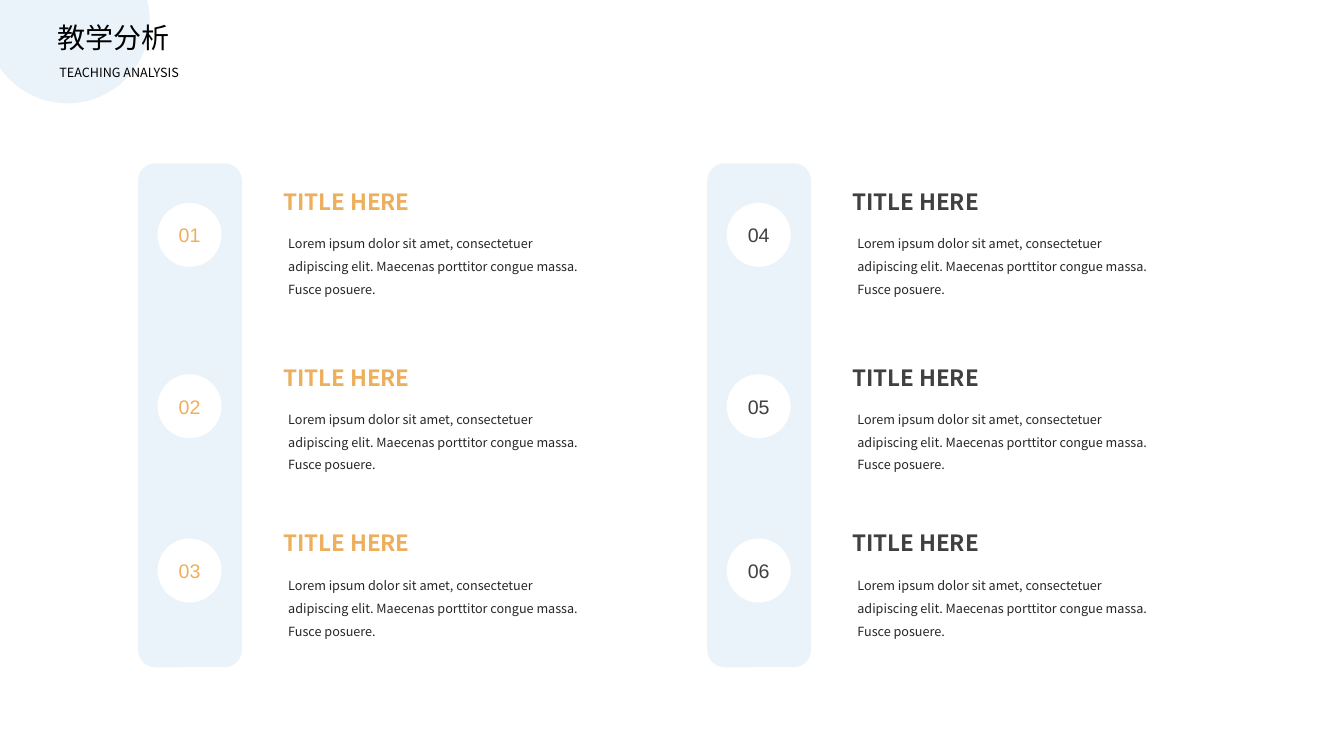
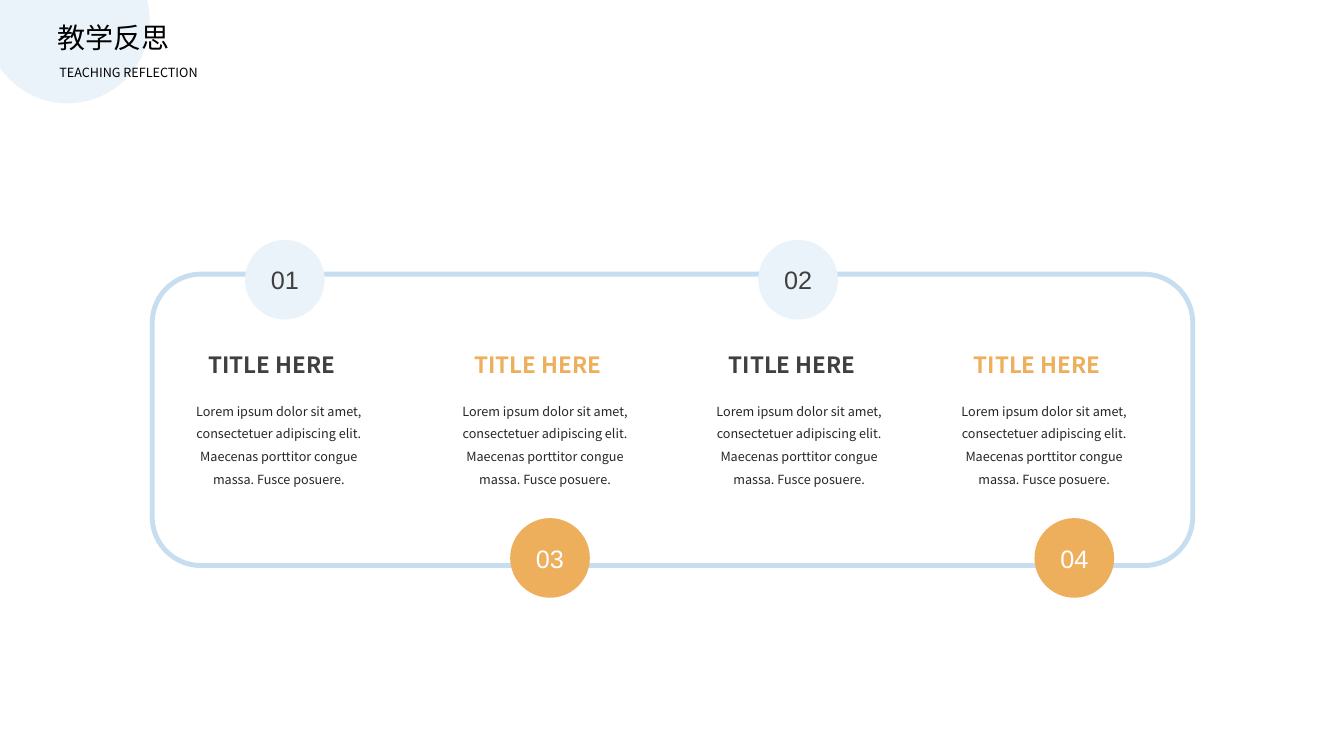
from dataclasses import dataclass
from math import acos, asin, cos, pi, sin

from lxml.etree import Element
from pptx import Presentation
from pptx.dml.color import RGBColor
from pptx.enum.shapes import MSO_SHAPE
from pptx.enum.text import MSO_ANCHOR, MSO_AUTO_SIZE, PP_ALIGN
from pptx.oxml.ns import qn
from pptx.presentation import Presentation as Deck
from pptx.shapes.autoshape import Shape
from pptx.slide import Slide
from pptx.util import Inches, Pt

COLUMNS, ROWS = 133.3, 75
CELL = Inches(0.1)

PALE_BLUE = RGBColor(0xEB, 0xF3, 0xFA)
FRAME_BLUE = RGBColor(0xC7, 0xDE, 0xF1)
ORANGE = RGBColor(0xEE, 0xAF, 0x5D)
DARK_GRAY = RGBColor(0x40, 0x40, 0x40)
BODY_GRAY = RGBColor(0x26, 0x26, 0x26)
BLACK = RGBColor(0, 0, 0)
WHITE = RGBColor(255, 255, 255)

TEXT_FONT = "Noto Sans CJK SC"
NUMBER_FONT = "Arial"
HEADING = "TITLE HERE"
BODY = (
    "Lorem ipsum dolor sit amet, consectetuer adipiscing elit. "
    "Maecenas porttitor congue massa. Fusce posuere."
)


@dataclass(frozen=True)
class Area:
    left: float
    top: float
    width: float
    height: float

    def lengths(self) -> tuple[int, int, int, int]:
        return tuple(
            round(cells * CELL)
            for cells in (self.left, self.top, self.width, self.height)
        )


@dataclass(frozen=True)
class TextStyle:
    size: float
    color: RGBColor
    font: str = TEXT_FONT
    bold: bool = False
    align: PP_ALIGN = PP_ALIGN.JUSTIFY
    spacing: float = 1.0


@dataclass(frozen=True)
class Row:
    circle: float
    heading: float
    body: float


@dataclass(frozen=True)
class Strip:
    left: float
    first_number: int
    color: RGBColor


@dataclass(frozen=True)
class Step:
    number: int
    heading_left: float
    circle_left: float
    circle_top: float
    circle_color: RGBColor
    number_color: RGBColor
    heading_color: RGBColor


ANALYSIS_ROWS = (
    Row(20.2, 18.2, 22.2),
    Row(37.2, 35.6, 39.6),
    Row(53.5, 52, 56.1),
)
STRIPS = (Strip(13.7, 1, ORANGE), Strip(70.15, 4, DARK_GRAY))

UPPER, LOWER = 23.8, 51.4
STEPS = (
    Step(1, 19.7, 24.3, UPPER, PALE_BLUE, DARK_GRAY, DARK_GRAY),
    Step(3, 46.1, 50.6, LOWER, ORANGE, WHITE, ORANGE),
    Step(2, 71.3, 75.2, UPPER, PALE_BLUE, DARK_GRAY, DARK_GRAY),
    Step(4, 95.6, 102.6, LOWER, ORANGE, WHITE, ORANGE),
)


def write_text(shape: Shape, text: str, style: TextStyle) -> None:
    shape.text_frame.text = text
    para = shape.text_frame.paragraphs[0]
    para.alignment = style.align
    para.line_spacing = style.spacing
    for span in para.runs:
        span.font.name = style.font
        span.font.size = Pt(style.size)
        span.font.bold = style.bold
        span.font.color.rgb = style.color
    for latin in shape.element.iter(qn("a:latin")):
        latin.addnext(Element(qn("a:ea"), typeface=style.font))


def add_text(page: Slide, area: Area, text: str, style: TextStyle) -> None:
    box = page.shapes.add_textbox(*area.lengths())
    box.text_frame.word_wrap = True
    box.text_frame.auto_size = MSO_AUTO_SIZE.SHAPE_TO_FIT_TEXT
    write_text(box, text, style)


def add_panel(page: Slide, kind: MSO_SHAPE, area: Area, color: RGBColor) -> Shape:
    panel = page.shapes.add_shape(kind, *area.lengths())
    panel.shadow.inherit = False
    panel.fill.solid()
    panel.fill.fore_color.rgb = color
    panel.line.fill.background()
    return panel


def add_number(page: Slide, area: Area, number: int, fill: RGBColor,
               size: float, color: RGBColor) -> Shape:
    circle = add_panel(page, MSO_SHAPE.OVAL, area, fill)
    frame = circle.text_frame
    frame.margin_left = frame.margin_right = 0
    frame.vertical_anchor = MSO_ANCHOR.MIDDLE
    style = TextStyle(size, color, NUMBER_FONT, align=PP_ALIGN.CENTER)
    write_text(circle, f"{number:02d}", style)
    return circle


def add_heading(page: Slide, left: float, top: float, color: RGBColor) -> None:
    style = TextStyle(16, color, bold=True)
    add_text(page, Area(left, top, 16, 3.7), HEADING, style)


def add_body(page: Slide, area: Area, align: PP_ALIGN) -> None:
    style = TextStyle(9, BODY_GRAY, align=align, spacing=1.5)
    add_text(page, area, BODY, style)


def add_corner_circle(page: Slide) -> Shape:
    center_x, center_y, radius, steps = 6.7, 2.1, 8.15, 60
    start = asin(-center_y / radius)
    end = pi - acos(center_x / radius)
    angles = [start + (end - start) * step / steps for step in range(steps + 1)]
    arc = [
        (
            round((center_x + radius * cos(angle)) * CELL),
            round((center_y + radius * sin(angle)) * CELL),
        )
        for angle in angles
    ]
    builder = page.shapes.build_freeform(0, 0)
    builder.add_line_segments(arc, close=True)
    corner = builder.convert_to_shape()
    corner.shadow.inherit = False
    corner.fill.solid()
    corner.fill.fore_color.rgb = PALE_BLUE
    corner.line.fill.background()
    return corner


def add_page(deck: Deck, title_text: str, subtitle: str) -> Slide:
    page = deck.slides.add_slide(deck.slide_layouts.get_by_name("Title Only"))
    title = page.shapes.title
    title.left, title.top, title.width, title.height = Area(4.7, 1.5, 16, 4.4).lengths()
    title.text_frame.auto_size = MSO_AUTO_SIZE.NONE
    title.text_frame.vertical_anchor = MSO_ANCHOR.TOP
    write_text(title, title_text, TextStyle(20, BLACK))
    title.element.addprevious(add_corner_circle(page).element)
    add_text(page, Area(4.9, 5.9, 21.1, 2.5), subtitle, TextStyle(9, BLACK))
    return page


def build_analysis(deck: Deck) -> None:
    page = add_page(deck, "教学分析", "TEACHING ANALYSIS")
    for strip in STRIPS:
        area = Area(strip.left, 16.2, 10.3, 50)
        add_panel(page, MSO_SHAPE.ROUNDED_RECTANGLE, area, PALE_BLUE)
        for number, row in enumerate(ANALYSIS_ROWS, strip.first_number):
            circle = add_number(page, Area(strip.left + 2, row.circle, 6.2, 6.2),
                                number, WHITE, 14, strip.color)
            circle.line.color.rgb = WHITE
            circle.line.width = Pt(1)
            add_heading(page, strip.left + 13.4, row.heading, strip.color)
            add_body(page, Area(strip.left + 13.9, row.body, 30.9, 7.8), PP_ALIGN.LEFT)


def build_reflection(deck: Deck) -> None:
    page = add_page(deck, "教学反思", "TEACHING REFLECTION")
    frame = add_panel(page, MSO_SHAPE.ROUNDED_RECTANGLE,
                      Area(15.1, 27.2, 103.2, 28.9), WHITE)
    frame.fill.background()
    frame.line.color.rgb = FRAME_BLUE
    frame.line.width = Pt(3.5)
    for step in STEPS:
        add_number(page, Area(step.circle_left, step.circle_top, 7.9, 7.9),
                   step.number, step.circle_color, 18, step.number_color)
        add_heading(page, step.heading_left, 34.3, step.heading_color)
        add_body(page, Area(step.heading_left - 2.05, 38.8, 20, 10.1), PP_ALIGN.CENTER)


def main() -> None:
    deck = Presentation()
    deck.slide_width = round(COLUMNS * CELL)
    deck.slide_height = ROWS * CELL
    build_analysis(deck)
    build_reflection(deck)
    deck.save("out.pptx")


if __name__ == "__main__":
    main()
